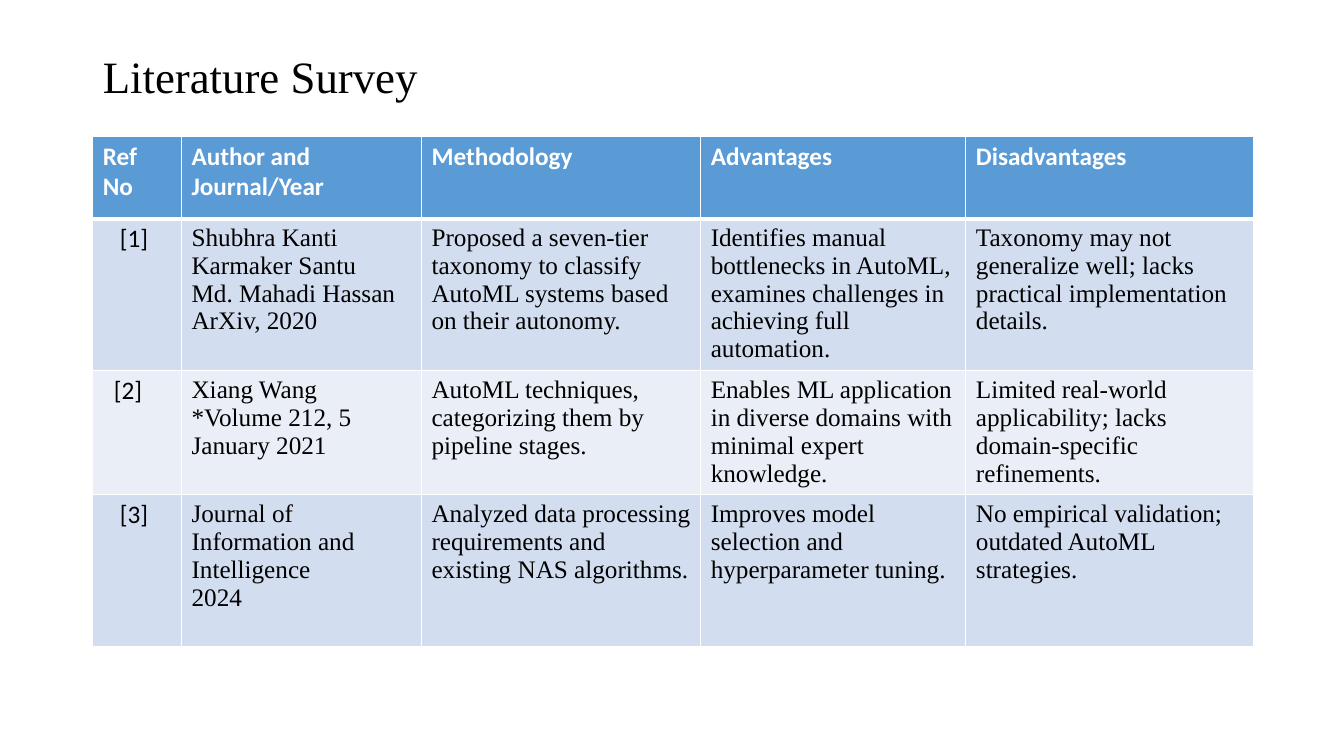
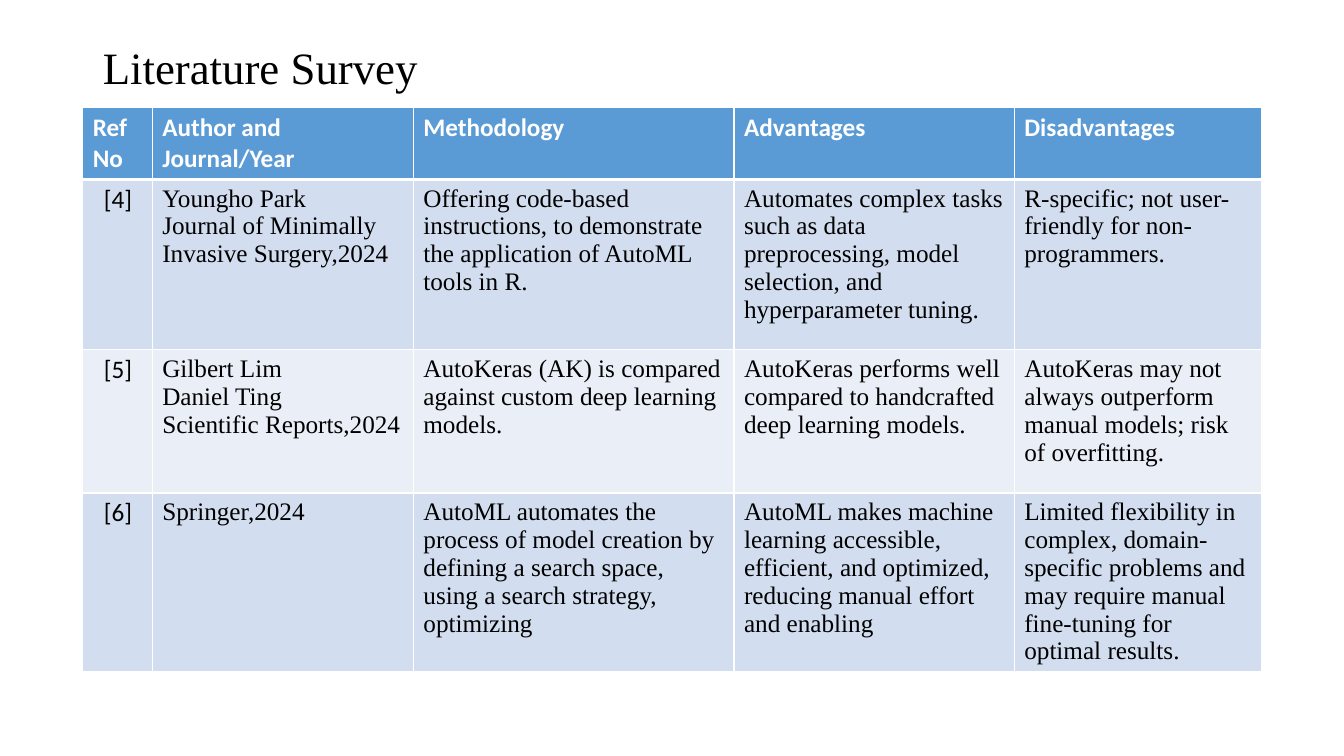
"""Build two literature survey slides, each with a title and a table."""
from dataclasses import dataclass

from lxml.etree import SubElement
from pptx import Presentation
from pptx.dml.color import RGBColor
from pptx.enum.text import MSO_ANCHOR, MSO_AUTO_SIZE, PP_ALIGN
from pptx.oxml.ns import qn
from pptx.util import Inches, Pt


@dataclass(frozen=True)
class Theme:
    heading_fill: str = "5B9BD5"
    band_fills: tuple = ("D2DEEF", "EAEFF7")
    white: str = "FFFFFF"
    black: str = "000000"
    serif: str = "Times New Roman"
    sans: str = "Calibri"
    title_size: int = 32
    table_size: int = 18
    border: int = 1
    heading_border: int = 3


def write_text(text_frame, text, font, size, color, bold=False, line_spacing=None):
    text_frame.text = text
    text_frame.word_wrap = True
    for paragraph in text_frame.paragraphs:
        paragraph.alignment = PP_ALIGN.LEFT
        paragraph.line_spacing = line_spacing
        for run in paragraph.runs:
            run.font.name = font
            run.font.size = Pt(size)
            run.font.bold = bold
            run.font.color.rgb = RGBColor.from_string(color)


class Deck:
    def __init__(self, theme):
        self.theme = theme
        self.presentation = Presentation()
        self.presentation.slide_width = Inches(13.33)
        self.presentation.slide_height = Inches(7.5)
        self.slide = None

    def add_slide(self, title, title_height):
        self.slide = self.presentation.slides.add_slide(
            self.presentation.slide_layouts[5])
        shape = self.slide.shapes.title
        shape.left, shape.top = Inches(0.92), Inches(0.4)
        shape.width, shape.height = Inches(11.5), Inches(title_height)
        frame = shape.text_frame
        frame.auto_size = MSO_AUTO_SIZE.NONE
        frame.vertical_anchor = MSO_ANCHOR.MIDDLE
        write_text(frame, title, font=self.theme.serif, size=self.theme.title_size,
                   color=self.theme.black, line_spacing=0.9)

    def add_table(self, left, top, widths, heights, rows, indents):
        table = self.slide.shapes.add_table(
            len(rows), len(widths), Inches(left), Inches(top),
            Inches(sum(widths)), Inches(sum(heights))).table
        for column, width in zip(table.columns, widths):
            column.width = Inches(width)
        for row, height in zip(table.rows, heights):
            row.height = Inches(height)
        for row_index, texts in enumerate(rows):
            for column_index, text in enumerate(texts):
                cell = table.cell(row_index, column_index)
                self.style_cell(cell, text, row_index, column_index)
                if row_index and not column_index:
                    cell.margin_left = Inches(indents[row_index - 1])

    def style_cell(self, cell, text, row_index, column_index):
        theme = self.theme
        is_heading = row_index == 0
        self.add_borders(cell, row_index)
        cell.fill.solid()
        fill = theme.heading_fill if is_heading else theme.band_fills[(row_index - 1) % 2]
        cell.fill.fore_color.rgb = RGBColor.from_string(fill)
        write_text(cell.text_frame, text,
                   font=theme.sans if is_heading or column_index == 0 else theme.serif,
                   size=theme.table_size,
                   color=theme.white if is_heading else theme.black,
                   bold=is_heading)

    def add_borders(self, cell, row_index):
        theme = self.theme
        properties = cell._tc.get_or_add_tcPr()
        for side in "LRTB":
            is_thick = (row_index, side) in ((0, "B"), (1, "T"))
            width = theme.heading_border if is_thick else theme.border
            line = SubElement(properties, qn(f"a:ln{side}"), w=str(Pt(width)))
            fill = SubElement(line, qn("a:solidFill"))
            SubElement(fill, qn("a:srgbClr"), val=theme.white)


TITLE = "Literature Survey"
HEADINGS = ("Ref\nNo", "Author and\nJournal/Year", "Methodology",
            "Advantages", "Disadvantages")
EARLIER_PAPERS = (
    ("[1]", "Shubhra Kanti Karmaker Santu\nMd. Mahadi Hassan\nArXiv, 2020",
     "Proposed a seven-tier taxonomy to classify AutoML systems based on their autonomy.",
     "Identifies manual bottlenecks in AutoML, examines challenges in achieving "
     "full automation.",
     "Taxonomy may not generalize well; lacks practical implementation details."),
    ("[2]", "Xiang Wang\n*Volume 212, 5 January 2021",
     "AutoML techniques, categorizing them by pipeline stages.",
     "Enables ML application in diverse domains with minimal expert knowledge.",
     "Limited real-world applicability; lacks domain-specific refinements."),
    ("[3]", "Journal of Information and Intelligence\n2024",
     "Analyzed data processing requirements and existing NAS algorithms.",
     "Improves model selection and hyperparameter tuning.",
     "No empirical validation; outdated AutoML strategies."),
)
LATER_PAPERS = (
    ("[4]", "Youngho Park\nJournal of Minimally Invasive Surgery,2024",
     "Offering code-based instructions, to demonstrate the application of AutoML "
     "tools in R.",
     "Automates complex tasks such as data preprocessing, model selection, and "
     "hyperparameter tuning.",
     "R-specific; not user-friendly for non-programmers."),
    ("[5]", "Gilbert Lim\nDaniel Ting\nScientific Reports,2024",
     "AutoKeras (AK) is compared against custom deep learning models.",
     "AutoKeras performs well compared to handcrafted deep learning models.",
     "AutoKeras may not always outperform manual models; risk of overfitting."),
    ("[6]", "Springer,2024",
     "AutoML automates the process of model creation by defining a search space, "
     "using a search strategy, optimizing",
     "AutoML makes machine learning accessible, efficient, and optimized, reducing "
     "manual effort and enabling",
     "Limited flexibility in complex, domain-specific problems and may require "
     "manual fine-tuning for optimal results."),
)


def main():
    deck = Deck(Theme())
    deck.add_slide(TITLE, title_height=0.77)
    deck.add_table(0.92, 1.35, widths=(0.88, 2.38, 2.77, 2.63, 2.85),
                   heights=(0.82, 1.51, 1.23, 1.51),
                   rows=(HEADINGS, *EARLIER_PAPERS), indents=(0.27, 0.21, 0.27))
    deck.add_slide(TITLE, title_height=0.59)
    deck.add_table(0.82, 1.07, widths=(0.69, 2.59, 3.18, 2.78, 2.45),
                   heights=(0.71, 1.69, 1.42, 1.77),
                   rows=(HEADINGS, *LATER_PAPERS), indents=(0.21, 0.21, 0.21))
    deck.presentation.save("out.pptx")


if __name__ == "__main__":
    main()
